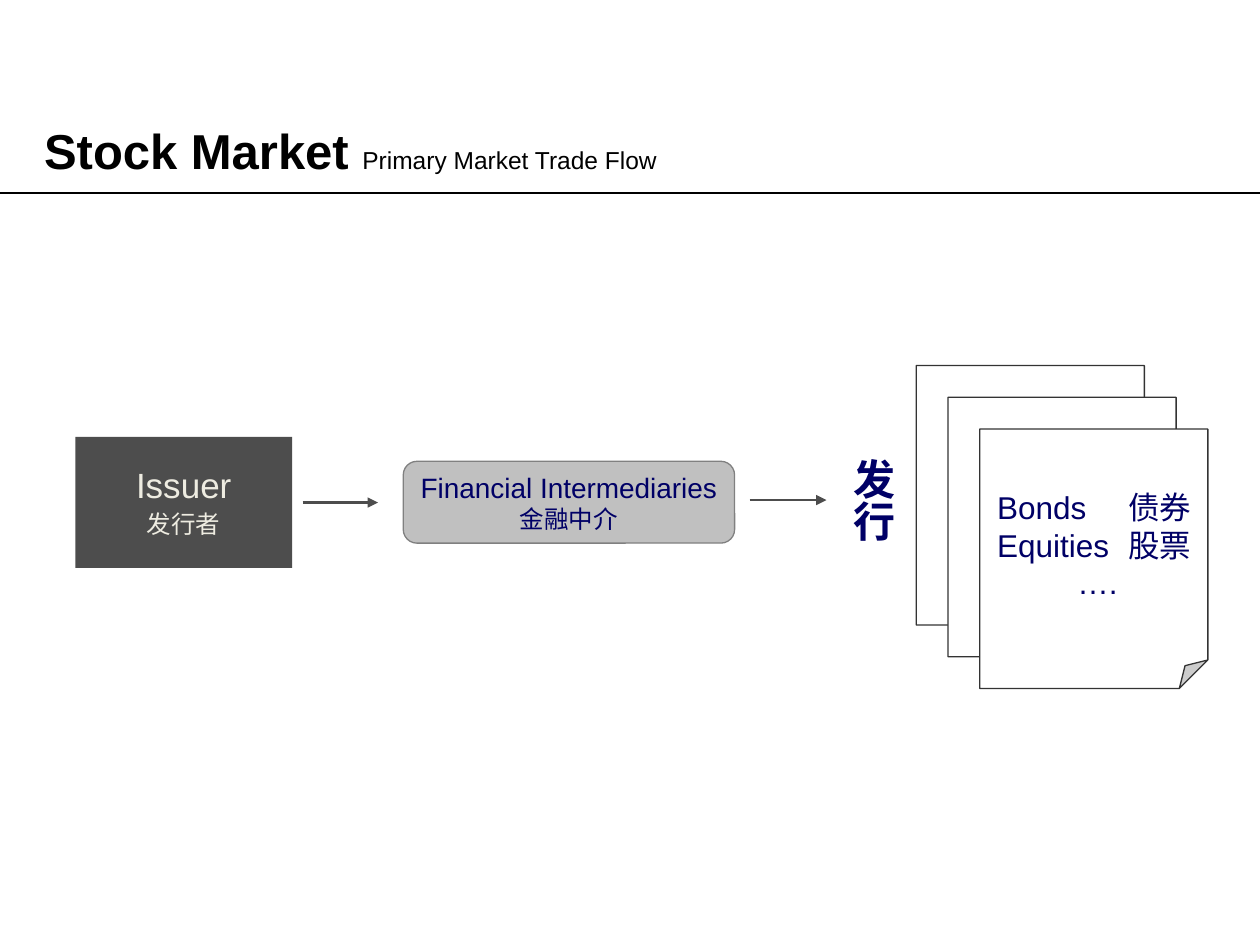
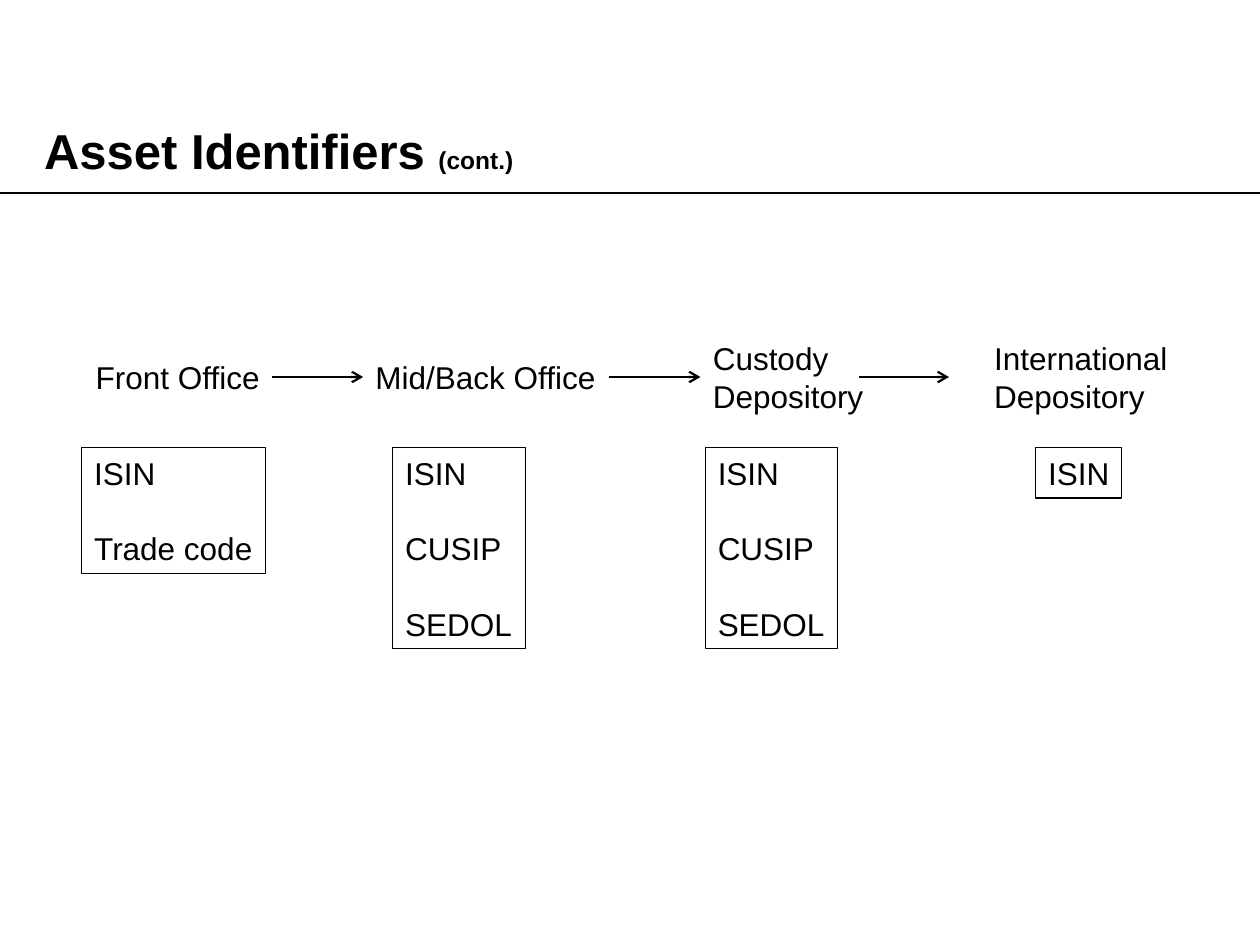
from dataclasses import dataclass
from typing import Optional

from lxml.etree import SubElement
from pptx import Presentation
from pptx.dml.color import RGBColor
from pptx.enum.shapes import MSO_CONNECTOR as Connector, MSO_SHAPE as Preset
from pptx.enum.text import MSO_ANCHOR as Anchor, MSO_AUTO_SIZE as AutoSize, PP_ALIGN as Align
from pptx.oxml.ns import qn
from pptx.util import Cm, Pt

COLORS = {
    "black": "000000",
    "white": "FFFFFF",
    "charcoal": "4D4D4D",
    "outline": "333333",
    "silver": "C0C0C0",
    "gray": "808080",
    "cream": "EEECE1",
    "navy": "000066",
}
FONT = "Arial"
SLIDE_WIDTH, SLIDE_HEIGHT = 25.4, 19.05
RULE_TOP = 3.89
INSET_X, INSET_Y = 0.25, 0.13
LINE_HEIGHT = 0.76


# All lengths are centimetres, all text sizes points
@dataclass
class Box:
    left: float
    top: float
    width: float
    height: float


@dataclass
class Line:
    text: str
    size: float = 18
    color: str = "black"
    align: Align = Align.LEFT
    bold: bool = False
    before: float = 0
    spacing: Optional[float] = None
    font: str = FONT


@dataclass
class Stage:
    label: list[str]
    label_left: float
    label_width: float
    codes: list[str]
    codes_left: float
    codes_width: float


def rgb(name: str) -> RGBColor:
    return RGBColor.from_string(COLORS[name])


def write_lines(shape, lines: list[Line], anchor: Anchor = Anchor.TOP) -> None:
    frame = shape.text_frame
    frame.auto_size = AutoSize.NONE
    frame.word_wrap = False
    frame.vertical_anchor = anchor
    frame.margin_left = frame.margin_right = Cm(INSET_X)
    frame.margin_top = frame.margin_bottom = Cm(INSET_Y)
    for index, line in enumerate(lines):
        paragraph = frame.add_paragraph() if index else frame.paragraphs[0]
        paragraph.text = line.text
        paragraph.alignment = line.align
        paragraph.space_before = Pt(line.before)
        if line.spacing:
            paragraph.line_spacing = line.spacing
        paragraph.font.name = line.font
        paragraph.font.size = Pt(line.size)
        paragraph.font.bold = line.bold
        paragraph.font.color.rgb = rgb(line.color)


def add_box(shapes, preset: Preset, box: Box, fill: Optional[str] = None,
            outline: Optional[str] = None):
    shape = shapes.add_shape(preset, Cm(box.left), Cm(box.top), Cm(box.width), Cm(box.height))
    shape.shadow.inherit = False
    if fill:
        shape.fill.solid()
        shape.fill.fore_color.rgb = rgb(fill)
    else:
        shape.fill.background()
    if outline:
        shape.line.color.rgb = rgb(outline)
        shape.line.width = Pt(0.75)
    else:
        shape.line.fill.background()
    return shape


def add_text(slide, box: Box, lines: list[Line]):
    shape = slide.shapes.add_textbox(Cm(box.left), Cm(box.top), Cm(box.width), Cm(box.height))
    write_lines(shape, lines)
    return shape


def add_line(slide, start: float, end: float, top: float, color: str = "black",
             width: float = 1.5, arrowhead: Optional[str] = None):
    line = slide.shapes.add_connector(Connector.STRAIGHT, Cm(start), Cm(top), Cm(end), Cm(top))
    line.line.color.rgb = rgb(color)
    line.line.width = Pt(width)
    properties = line.element.spPr
    if arrowhead:
        SubElement(properties.find(qn("a:ln")), qn("a:tailEnd"), type=arrowhead)
    SubElement(properties, qn("a:effectLst"))
    return line


def add_titled_slide(presentation, heading: str, detail: str, detail_bold: bool):
    slide = presentation.slides.add_slide(presentation.slide_layouts[5])
    title = slide.shapes.title
    title.left, title.top, title.width, title.height = Cm(0.89), Cm(2.62), Cm(23.62), Cm(0.99)
    write_lines(title, [Line(heading, 28, bold=True, spacing=0.83)])
    frame = title.text_frame
    frame.word_wrap = True
    frame.margin_left = frame.margin_right = frame.margin_top = frame.margin_bottom = 0
    run = frame.paragraphs[0].add_run()
    run.text = detail
    run.font.size = Pt(14)
    run.font.bold = detail_bold
    add_line(slide, 0, SLIDE_WIDTH, RULE_TOP)
    return slide


def add_securities(slide) -> None:
    """Stack of pages; the front one lists the securities in two columns."""
    group = slide.shapes.add_group_shape()
    step = 0.64
    for index in range(3):
        page = add_box(group.shapes, Preset.FOLDED_CORNER,
                       Box(18.47 + index * step, 7.37 + index * step, 4.6, 5.23),
                       "white", "outline")
        # Size of the folded corner
        adjustments = page.element.find(".//" + qn("a:avLst"))
        SubElement(adjustments, qn("a:gd"), name="adj", fmla="val 12500")
    write_lines(page, [Line("Bonds\t债券", color="navy"),
                       Line("Equities\t股票", color="navy"),
                       Line("….", color="navy", align=Align.CENTER)], Anchor.MIDDLE)
    frame = page.text_frame
    frame.word_wrap = True
    frame.margin_left, frame.margin_right = Cm(0.35), Cm(0.2)
    for paragraph in frame.paragraphs[:2]:
        properties = paragraph._p.get_or_add_pPr()
        tabs = SubElement(properties, qn("a:tabLst"))
        SubElement(tabs, qn("a:tab"), pos=str(Cm(2.65)), algn="l")
        # Tab stops come before the default run properties
        properties.append(properties.find(qn("a:defRPr")))


def build_trade_flow(presentation) -> None:
    slide = add_titled_slide(presentation, "Stock Market ", "Primary Market Trade Flow", False)

    # Issuer
    issuer = add_box(slide.shapes, Preset.RECTANGLE, Box(1.52, 8.81, 4.37, 2.64), "charcoal")
    write_lines(issuer, [
        Line("Issuer", 20, "cream", Align.CENTER, before=3.7, spacing=0.95),
        Line("发行者", 14, "cream", Align.CENTER, before=2.6, spacing=0.95),
    ], Anchor.MIDDLE)
    add_line(slide, 6.1, 7.62, 10.13, "charcoal", arrowhead="triangle")

    # Intermediaries
    intermediaries = add_box(slide.shapes, Preset.ROUNDED_RECTANGLE,
                             Box(8.13, 9.3, 6.68, 1.65), "silver", "gray")
    write_lines(intermediaries, [
        Line("Financial Intermediaries", 16, "navy", Align.CENTER),
        Line("金融中介", 14, "navy", Align.CENTER),
    ], Anchor.MIDDLE)
    add_line(slide, 15.11, 16.66, 10.08, "charcoal", arrowhead="triangle")

    # Issue, written downwards
    issue = add_text(slide, Box(16.71, 8.99, 1.52, 1.96),
                     [Line("发行", 24, "navy", bold=True, font="Calibri")])
    frame = issue.text_frame
    frame.margin_left = frame.margin_right = Cm(INSET_Y)
    frame.margin_top = frame.margin_bottom = Cm(INSET_X)
    issue.element.find(".//" + qn("a:bodyPr")).set("vert", "eaVert")
    add_securities(slide)


def text_height(line_count: int) -> float:
    return 2 * INSET_Y + line_count * LINE_HEIGHT


def build_identifiers(presentation) -> None:
    slide = add_titled_slide(presentation, "Asset Identifiers ", "(cont.)", True)
    middle, codes_top, code_gap = 7.6, 9.02, 21.6
    stages = [
        Stage(["Front Office"], 1.68, 3.81, ["ISIN", "Trade code"], 1.65, 3.71),
        Stage(["Mid/Back Office"], 7.32, 4.95, ["ISIN", "CUSIP", "SEDOL"], 7.92, 2.67),
        Stage(["Custody", "Depository"], 14.12, 3.53, ["ISIN", "CUSIP", "SEDOL"], 14.22, 2.67),
        Stage(["International", "Depository"], 19.79, 3.99, ["ISIN"], 20.88, 1.73),
    ]

    # Stage names and the codes each stage uses
    labels = []
    for stage in stages:
        height = text_height(len(stage.label))
        labels.append(add_text(
            slide, Box(stage.label_left, middle - height / 2, stage.label_width, height),
            [Line(text) for text in stage.label]))
        codes = add_box(slide.shapes, Preset.RECTANGLE,
                        Box(stage.codes_left, codes_top, stage.codes_width,
                            text_height(2 * len(stage.codes) - 1)), outline="black")
        write_lines(codes, [Line(code, before=code_gap if index else 0)
                            for index, code in enumerate(stage.codes)])

    # Arrows between stages; the last one stands free
    for index, (start, end) in enumerate([(5.49, 7.32), (12.27, 14.12), (17.32, 19.13)]):
        arrow = add_line(slide, start, end, middle, width=1.25, arrowhead="arrow")
        if index < 2:
            arrow.begin_connect(labels[index], 3)
            arrow.end_connect(labels[index + 1], 1)


def main() -> None:
    presentation = Presentation()
    presentation.slide_width = Cm(SLIDE_WIDTH)
    presentation.slide_height = Cm(SLIDE_HEIGHT)
    build_trade_flow(presentation)
    build_identifiers(presentation)
    presentation.save("out.pptx")


if __name__ == "__main__":
    main()
